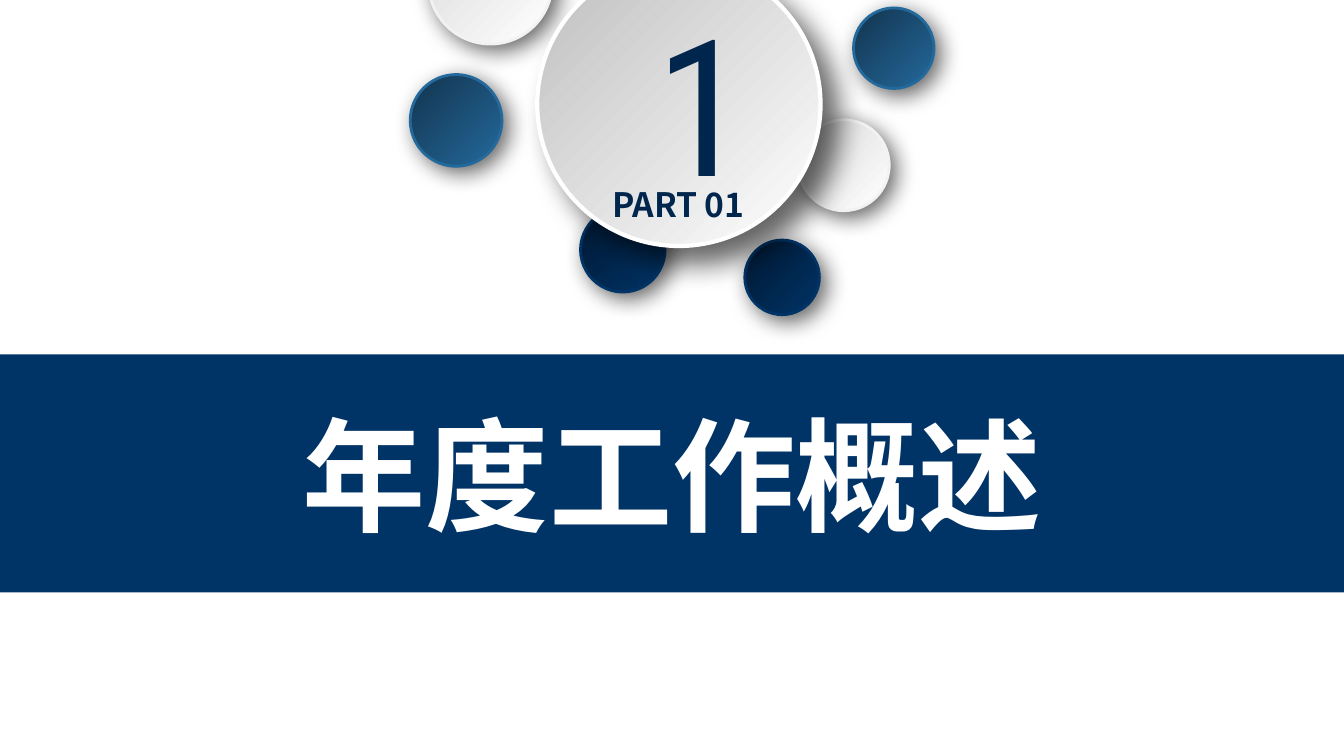
from lxml import etree
from pptx import Presentation
from pptx.dml.color import RGBColor
from pptx.enum.shapes import MSO_SHAPE
from pptx.enum.text import MSO_ANCHOR, MSO_AUTO_SIZE, PP_ALIGN
from pptx.oxml.ns import qn
from pptx.util import Cm, Pt

OVAL, RECTANGLE = MSO_SHAPE.OVAL, MSO_SHAPE.RECTANGLE
CENTER, LEFT = PP_ALIGN.CENTER, PP_ALIGN.LEFT
TOP = MSO_ANCHOR.TOP
FIT_SHAPE = MSO_AUTO_SIZE.SHAPE_TO_FIT_TEXT

HEADING_FONT = "Noto Sans CJK SC"
NUMBER_FONT = "Roboto Condensed"
NAVY = ("003366", "001933")
BLUE = ("24699C", "12344E")
PALE = ("FFFFFF", "D9D9D9")
SILVER = ("FFFFFF", "BFBFBF")
INK = "00264D"

SMALL_CIRCLES = [
    (18.77, 6.05, 1.88, NAVY, "003366"),
    (10.34, 1.88, 2.31, BLUE, "24699C"),
    (14.63, 5.23, 2.13, NAVY, "003366"),
    (21.51, 0.2, 2.03, BLUE, "24699C"),
    (10.8, -2.01, 3.12, PALE, "F2F2F2"),
    (20.12, 3.02, 2.29, PALE, "F2F2F2"),
]


def color(hex_string):
    return RGBColor.from_string(hex_string)


def add_shadow(shape, blur, distance):
    shape.shadow.inherit = False
    effects = shape._element.spPr.find(qn("a:effectLst"))
    shadow = etree.SubElement(
        effects, qn("a:outerShdw"), blurRad=str(Pt(blur)), dist=str(Pt(distance)),
        dir=str(45 * 60000), algn="tl", rotWithShape="0")
    shade = etree.SubElement(shadow, qn("a:srgbClr"), val="000000")
    etree.SubElement(shade, qn("a:alpha"), val="60000")


def add_circle(slide, left, top, size, gradient, outline, width=2, blur=16, distance=6):
    circle = slide.shapes.add_shape(OVAL, Cm(left), Cm(top), Cm(size), Cm(size))
    circle.fill.gradient()
    circle.fill.gradient_angle = 135
    for stop, shade in zip(circle.fill.gradient_stops, gradient):
        stop.color.rgb = color(shade)
    circle.line.color.rgb = color(outline)
    circle.line.width = Pt(width)
    add_shadow(circle, blur, distance)


def add_band(slide, top, width, height):
    band = slide.shapes.add_shape(RECTANGLE, 0, Cm(top), width, Cm(height))
    band.shadow.inherit = False
    band.fill.solid()
    band.fill.fore_color.rgb = color(NAVY[0])
    band.line.fill.background()


def write_text(shape, text, size, font, fill, bold=False, align=CENTER, wrap=True):
    frame = shape.text_frame
    frame.word_wrap = wrap
    frame.auto_size = FIT_SHAPE
    frame.vertical_anchor = TOP
    paragraph = frame.paragraphs[0]
    paragraph.alignment = align
    paragraph.line_spacing = 1.0
    run = paragraph.add_run()
    run.text = text
    run.font.size = Pt(size)
    run.font.bold = bold
    run.font.color.rgb = color(fill)
    run.font.name = font
    etree.SubElement(run.font._element, qn("a:ea"), typeface=font)


def add_label(slide, left, top, width, height, text, **text_format):
    box = slide.shapes.add_textbox(Cm(left), Cm(top), Cm(width), Cm(height))
    write_text(box, text, **text_format)


def place_title(slide, left, top, width, height, text, **text_format):
    title = slide.shapes.title
    title.left, title.top = Cm(left), Cm(top)
    title.width, title.height = Cm(width), Cm(height)
    write_text(title, text, **text_format)
    slide.shapes._spTree.append(title._element)


def main():
    presentation = Presentation()
    presentation.slide_width = Cm(33.87)
    presentation.slide_height = Cm(19.05)
    slide = presentation.slides.add_slide(presentation.slide_layouts[5])

    add_band(slide, 8.93, presentation.slide_width, 6)
    place_title(slide, 3.96, 9.93, 25.96, 4.01, "年度工作概述",
                size=88, font=HEADING_FONT, fill="FFFFFF", bold=True)
    for left, top, size, gradient, outline in SMALL_CIRCLES:
        add_circle(slide, left, top, size, gradient, outline)
    add_circle(slide, 13.54, -0.94, 7.14, SILVER, "FFFFFF", width=3, blur=20, distance=16)
    add_label(slide, 16.26, -0.48, 1.65, 6.07, "1",
              size=136, font=NUMBER_FONT, fill=INK, align=LEFT, wrap=False)
    add_label(slide, 14.68, 4.52, 4.83, 1.27, "PART 01",
              size=24, font=HEADING_FONT, fill=INK, bold=True)

    presentation.save("out.pptx")


if __name__ == "__main__":
    main()
